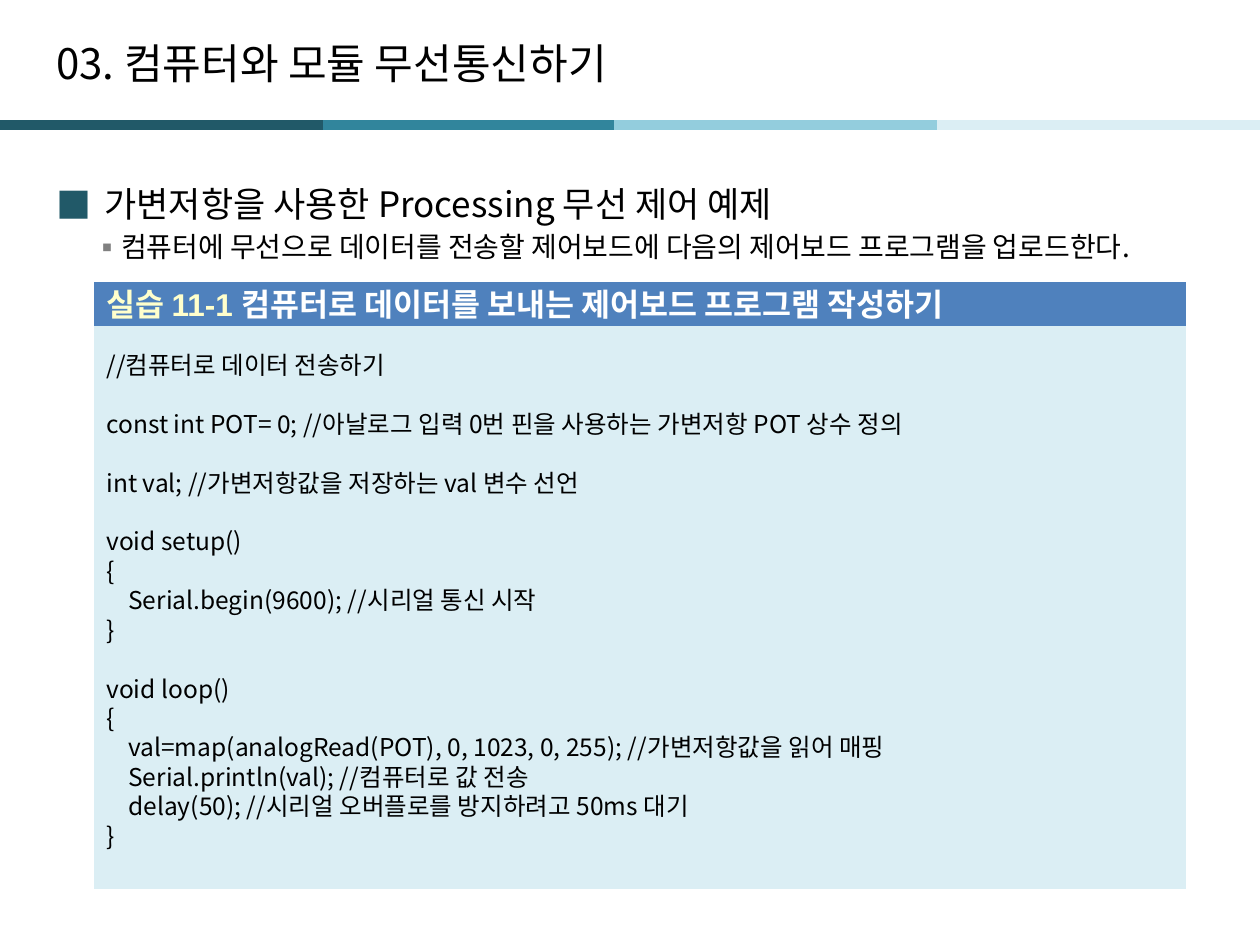
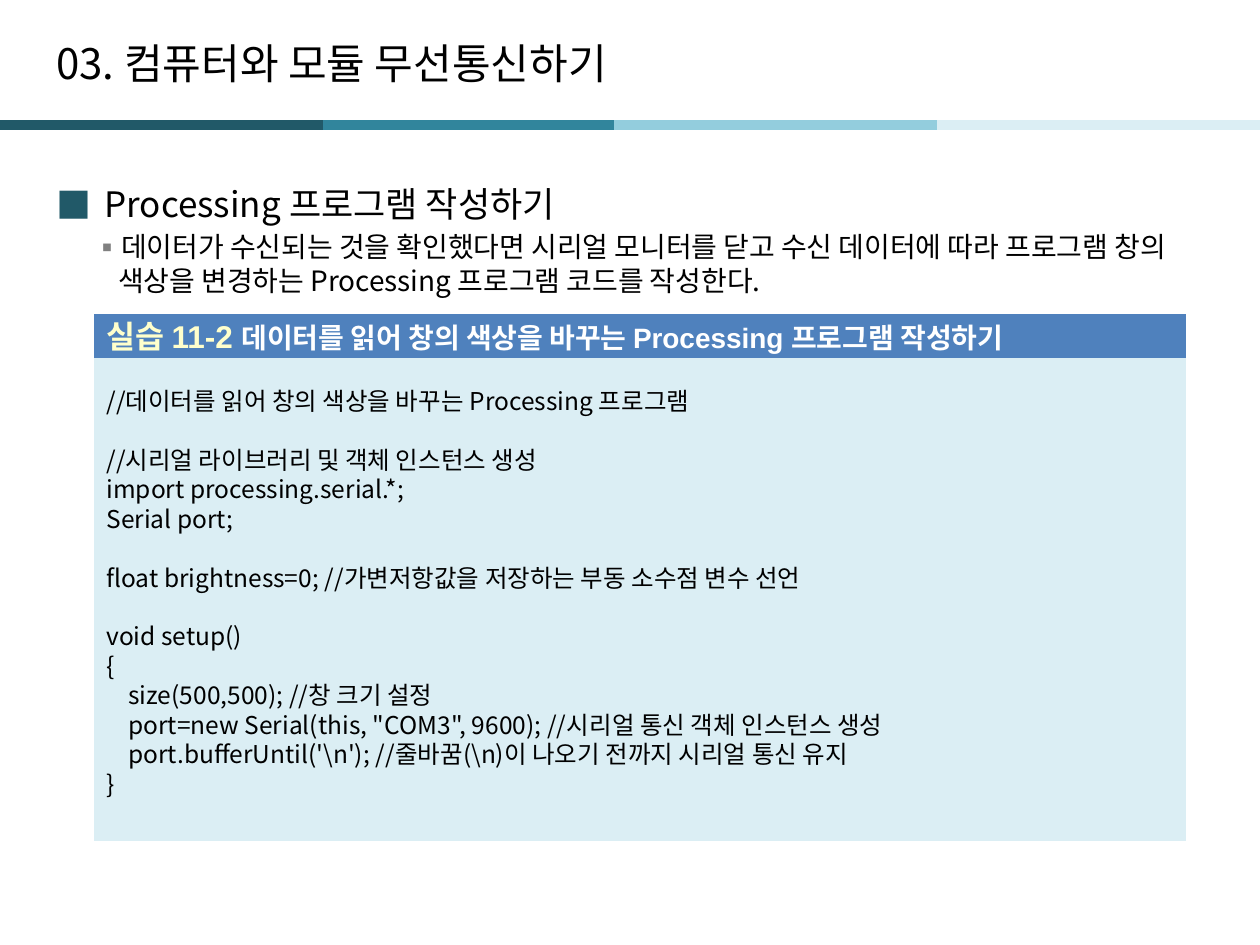
import dataclasses

import pptx
import pptx.dml.color
import pptx.enum.shapes
import pptx.enum.text
import pptx.oxml.ns
import pptx.util
from lxml import etree

SCALE = 914400 / 126
SLIDE_WIDTH, SLIDE_HEIGHT = 1260, 945


@dataclasses.dataclass(frozen=True)
class Theme:
    """Colours, fonts and type sizes shared by the slides."""
    rule: tuple = ("215968", "31859C", "93CDDD", "DBEEF4")
    text: str = "000000"
    bullet: str = "215968"
    sub_bullet: str = "808080"
    code_fill: str = "DBEEF4"
    band_fill: str = "4F81BD"
    band_label: str = "FFFFCC"
    band_text: str = "FFFFFF"
    font: str = "Noto Sans CJK KR"
    band_font: str = "Arial"
    title_size: int = 24
    heading_size: int = 20
    detail_size: int = 16
    band_size: int = 18
    code_size: int = 14
    line_height: float = 1.2


THEME = Theme()
TITLE = "03. 컴퓨터와 모듈 무선통신하기"

BOARD_CODE = r"""//컴퓨터로 데이터 전송하기

const int POT= 0; //아날로그 입력 0번 핀을 사용하는 가변저항 POT 상수 정의

int val; //가변저항값을 저장하는 val 변수 선언

void setup()
{
    Serial.begin(9600); //시리얼 통신 시작
}

void loop()
{
    val=map(analogRead(POT), 0, 1023, 0, 255); //가변저항값을 읽어 매핑
    Serial.println(val); //컴퓨터로 값 전송
    delay(50); //시리얼 오버플로를 방지하려고 50ms 대기
}"""

PROCESSING_CODE = r"""//데이터를 읽어 창의 색상을 바꾸는 Processing 프로그램

//시리얼 라이브러리 및 객체 인스턴스 생성
import processing.serial.*;
Serial port;

float brightness=0; //가변저항값을 저장하는 부동 소수점 변수 선언

void setup()
{
    size(500,500); //창 크기 설정
    port=new Serial(this, "COM3", 9600); //시리얼 통신 객체 인스턴스 생성
    port.bufferUntil('\n'); //줄바꿈(\n)이 나오기 전까지 시리얼 통신 유지
}"""


def px(length):
    """Turn px into EMU."""
    return pptx.util.Emu(round(length * SCALE))


def rgb(colour):
    """Turn a hex string into a colour."""
    return pptx.dml.color.RGBColor.from_string(colour)


def add_child(parent, tag, **attributes):
    """Append a drawing element to a parent."""
    return etree.SubElement(parent, pptx.oxml.ns.qn(tag), attributes)


def style_paragraph(paragraph, size, font=THEME.font, bold=False):
    """Set the left-aligned font of a whole paragraph."""
    paragraph.alignment = pptx.enum.text.PP_ALIGN.LEFT
    paragraph.font.size = pptx.util.Pt(size)
    paragraph.font.name = font
    paragraph.font.bold = bold
    paragraph.font.color.rgb = rgb(THEME.text)
    properties = paragraph._p.get_or_add_pPr().find(pptx.oxml.ns.qn("a:defRPr"))
    add_child(properties, "a:ea", typeface=THEME.font)


def add_bullet(paragraph, symbol, colour, margin, hanging):
    """Give a paragraph a coloured bullet and a hanging indent."""
    properties = paragraph._p.get_or_add_pPr()
    properties.set("marL", str(px(margin)))
    properties.set("indent", str(px(-hanging)))
    bullet_colour = add_child(properties, "a:buClr")
    add_child(bullet_colour, "a:srgbClr", val=colour)
    add_child(properties, "a:buFont", typeface=THEME.font)
    add_child(properties, "a:buChar", char=symbol)


def add_text_frame(page, box):
    """Add a wrapping text box and return its frame."""
    frame = page.shapes.add_textbox(*map(px, box)).text_frame
    frame.word_wrap = True
    return frame


def add_panel(page, box, fill):
    """Add a plain filled rectangle and return its middle-anchored frame."""
    panel = page.shapes.add_shape(
        pptx.enum.shapes.MSO_SHAPE.RECTANGLE, *map(px, box))
    panel.shadow.inherit = False
    panel.fill.solid()
    panel.fill.fore_color.rgb = rgb(fill)
    panel.line.fill.background()
    panel.text_frame.word_wrap = True
    panel.text_frame.vertical_anchor = pptx.enum.text.MSO_ANCHOR.MIDDLE
    return panel.text_frame


def draw_rule(page, box):
    """Draw the four-colour rule, the darkest part on top."""
    left, top, width, height = box
    length = 323
    for index in (1, 2, 3, 0):
        start = left + max(0, width - length * (4 - index))
        line = page.shapes.add_connector(
            pptx.enum.shapes.MSO_CONNECTOR.STRAIGHT,
            px(start), px(top), px(start + length), px(top))
        line.line.width = px(height)
        line.line.color.rgb = rgb(THEME.rule[index])
        add_child(line._element.spPr, "a:effectLst")


def draw_title(page, box):
    """Write the section title."""
    frame = add_text_frame(page, box)
    frame.vertical_anchor = pptx.enum.text.MSO_ANCHOR.MIDDLE
    paragraph = frame.paragraphs[0]
    paragraph.text = TITLE
    style_paragraph(paragraph, THEME.title_size)


def draw_topic(page, box, heading, detail):
    """Write the bulleted heading with its detail line."""
    frame = add_text_frame(page, box)
    heading_paragraph = frame.paragraphs[0]
    detail_paragraph = frame.add_paragraph()
    heading_paragraph.text = heading
    detail_paragraph.text = detail
    heading_paragraph.line_spacing = pptx.util.Pt(
        THEME.heading_size * THEME.line_height * 1.5)
    detail_paragraph.line_spacing = pptx.util.Pt(
        THEME.detail_size * THEME.line_height)
    detail_paragraph.space_before = pptx.util.Pt(THEME.detail_size * 0.2)
    add_bullet(heading_paragraph, "■", THEME.bullet, 48, 48)
    add_bullet(detail_paragraph, "▪", THEME.sub_bullet, 62, 25)
    style_paragraph(heading_paragraph, THEME.heading_size)
    style_paragraph(detail_paragraph, THEME.detail_size)


def draw_code(page, box, code):
    """Write code on a panel, with one line of space between its blocks."""
    frame = add_panel(page, box, THEME.code_fill)
    pitch = pptx.util.Pt(THEME.code_size * THEME.line_height)
    paragraph = frame.paragraphs[0]
    for block_index, block in enumerate(code.split("\n\n")):
        for line_index, line in enumerate(block.split("\n")):
            if block_index or line_index:
                paragraph = frame.add_paragraph()
            paragraph.text = line
            paragraph.line_spacing = pitch
            if block_index and not line_index:
                paragraph.space_before = pitch
            style_paragraph(paragraph, THEME.code_size)


def draw_band(page, box, label, caption, caption_size):
    """Write the exercise label and caption on a band."""
    paragraph = add_panel(page, box, THEME.band_fill).paragraphs[0]
    style_paragraph(paragraph, THEME.band_size, THEME.band_font, bold=True)
    for text, colour, size in ((label + " ", THEME.band_label, THEME.band_size),
                               (caption, THEME.band_text, caption_size)):
        span = paragraph.add_run()
        span.text = text
        span.font.color.rgb = rgb(colour)
        span.font.size = pptx.util.Pt(size)


def draw_exercise(page, box, label, caption, caption_size, code):
    """Stack the caption band over the top of the code panel."""
    left, top, width, height = box
    overlap_start = 29
    draw_code(page, (left, top + overlap_start, width, height - overlap_start), code)
    draw_band(page, (left, top, width, 44), label, caption, caption_size)


def add_exercise_page(deck, heading, detail, exercise_top, exercise_height, **exercise):
    """Add one slide with a topic and its exercise."""
    page = deck.slides.add_slide(deck.slide_layouts[6])
    draw_rule(page, (0, 125, SLIDE_WIDTH, 10))
    draw_title(page, (44, 25, 1181, 76))
    draw_topic(page, (44, 155, 1171, 745), heading, detail)
    draw_exercise(page, (94, exercise_top, 1092, exercise_height), **exercise)


def main():
    """Build and save the deck."""
    deck = pptx.Presentation()
    deck.slide_width, deck.slide_height = px(SLIDE_WIDTH), px(SLIDE_HEIGHT)
    add_exercise_page(
        deck,
        "가변저항을 사용한 Processing 무선 제어 예제",
        "컴퓨터에 무선으로 데이터를 전송할 제어보드에 다음의 제어보드 프로그램을 업로드한다.",
        282, 607,
        label="실습 11-1",
        caption="컴퓨터로 데이터를 보내는 제어보드 프로그램 작성하기",
        caption_size=THEME.band_size,
        code=BOARD_CODE)
    add_exercise_page(
        deck,
        "Processing 프로그램 작성하기",
        "데이터가 수신되는 것을 확인했다면 시리얼 모니터를 닫고 수신 데이터에 따라 "
        "프로그램 창의 색상을 변경하는 Processing 프로그램 코드를 작성한다.",
        314, 527,
        label="실습 11-2",
        caption="데이터를 읽어 창의 색상을 바꾸는 Processing 프로그램 작성하기",
        caption_size=THEME.detail_size,
        code=PROCESSING_CODE)
    deck.save("out.pptx")


if __name__ == "__main__":
    main()
